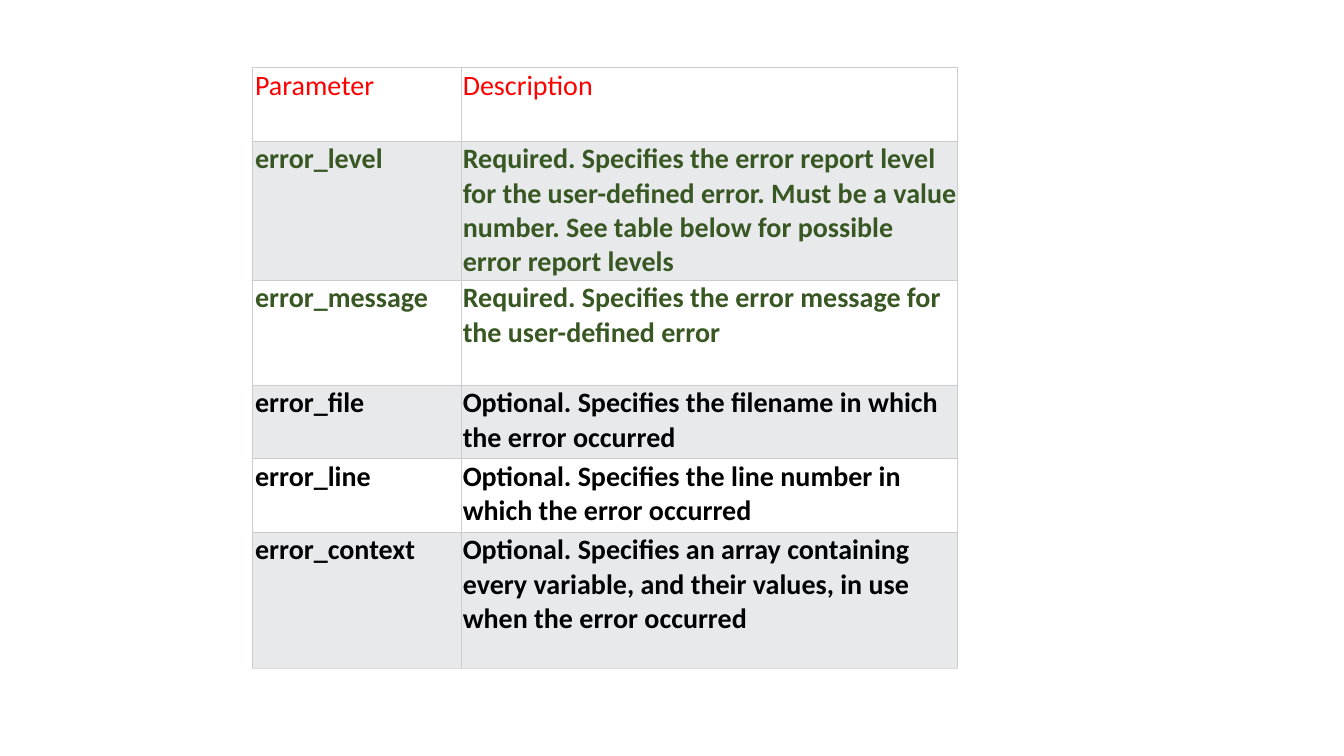
from lxml.etree import SubElement
from pptx import Presentation
from pptx.dml.color import RGBColor
from pptx.oxml.ns import qn
from pptx.util import Inches, Pt

COLORS = {
    "header": "FF0000", "required": "385723", "optional": "000000",
    "plain": "FFFFFF", "band": "E7E9EB", "grid": "CCCCCC", "bottom": "DDDDDD",
}
COL_WIDTHS = [2.08, 4.92]
LEFT_MARGINS = [0.03, 0.01]
# parameter, description, text colour, row height
ROWS = [
    ("Parameter", "Description", "header", 0.73),
    ("error_level", "Required. Specifies the error report level for the user-defined "
     "error. Must be a value number. See table below for possible error report levels",
     "required", 1.35),
    ("error_message", "Required. Specifies the error message for the user-defined error",
     "required", 1.04),
    ("error_file", "Optional. Specifies the filename in which the error occurred",
     "optional", 0.73),
    ("error_line", "Optional. Specifies the line number in which the error occurred",
     "optional", 0.73),
    ("error_context", "Optional. Specifies an array containing every variable, and "
     "their values, in use when the error occurred", "optional", 1.35),
]


def add_borders(cell, bottom):
    """Draw thin grid lines; call before the fill, which must follow them in the XML."""
    tc_pr = cell._tc.get_or_add_tcPr()
    for side, color in zip("LRTB", ["grid", "grid", "grid", bottom]):
        ln = SubElement(tc_pr, qn(f"a:ln{side}"), w=str(Pt(0.5)))
        SubElement(SubElement(ln, qn("a:solidFill")), qn("a:srgbClr"), val=COLORS[color])


prs = Presentation()
prs.slide_width, prs.slide_height = Inches(13.33), Inches(7.5)
s = prs.slides.add_slide(prs.slide_layouts[6])

table = s.shapes.add_table(len(ROWS), len(COL_WIDTHS), Inches(2.5), Inches(0.67),
                           Inches(7), Inches(5.93)).table
table.first_row = table.horz_banding = False
for col, width in zip(table.columns, COL_WIDTHS):
    col.width = Inches(width)

for i, (name, description, color, height) in enumerate(ROWS):
    table.rows[i].height = Inches(height)
    for j, text in enumerate([name, description]):
        cell = table.cell(i, j)
        add_borders(cell, "bottom" if i == len(ROWS) - 1 else "grid")
        cell.fill.solid()
        cell.fill.fore_color.rgb = RGBColor.from_string(COLORS["band" if i % 2 else "plain"])
        cell.margin_left = Inches(LEFT_MARGINS[j])
        cell.margin_top = cell.margin_right = cell.margin_bottom = Inches(0.01)
        cell.text = text
        font = cell.text_frame.paragraphs[0].font
        font.name, font.size, font.bold = "Calibri", Pt(20), i > 0
        font.color.rgb = RGBColor.from_string(COLORS[color])

prs.save("out.pptx")
